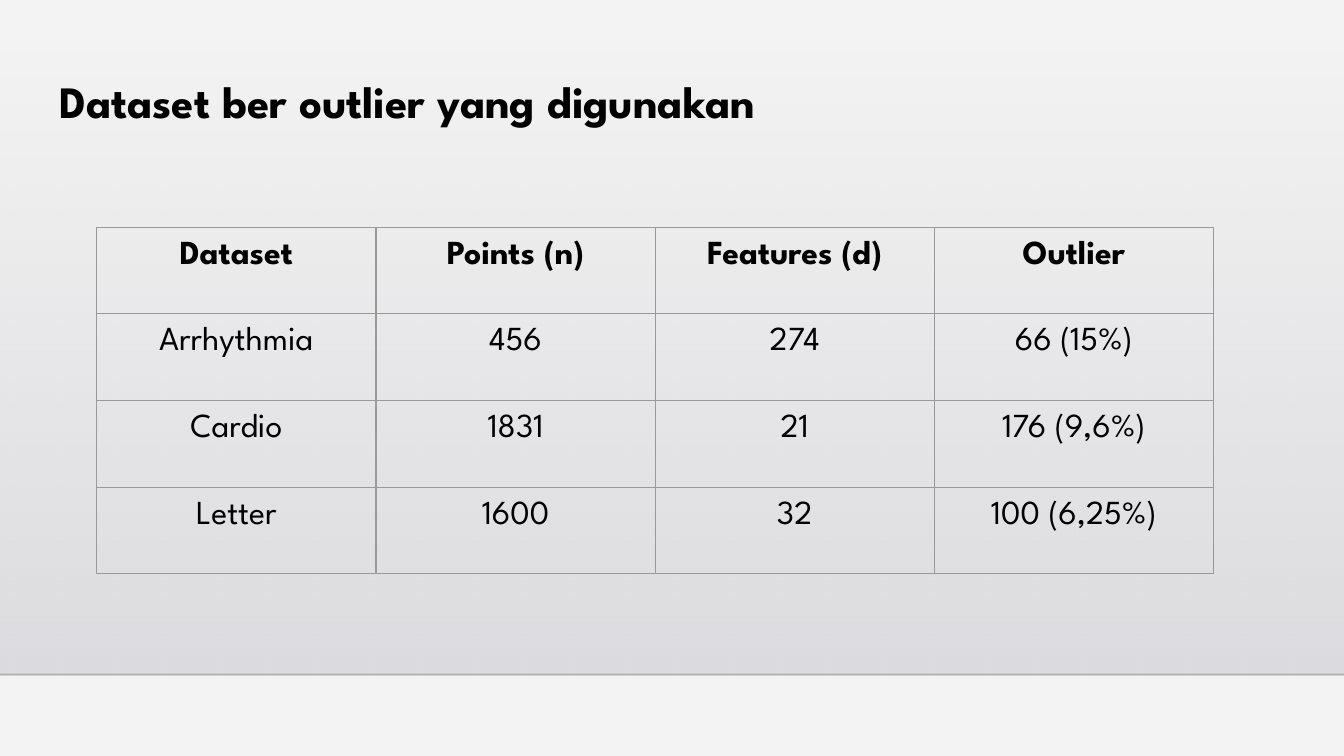
from dataclasses import dataclass

from lxml.etree import SubElement
from pptx import Presentation
from pptx.dml.color import RGBColor
from pptx.enum.shapes import MSO_CONNECTOR, MSO_SHAPE
from pptx.enum.text import MSO_ANCHOR, PP_ALIGN
from pptx.oxml.ns import qn
from pptx.util import Inches, Pt


@dataclass(frozen=True)
class Theme:
    """Colours, font and type sizes of the slide."""
    background: str = "F3F3F3"
    band_top: str = "DCDCE0"
    band_bottom: str = "DEDEE2"
    rule: str = "000001"
    rule_opacity: int = 20
    border: str = "999999"
    text: str = "000000"
    font: str = "League Spartan"
    title_size: int = 24
    table_size: int = 18
    border_width: float = 0.75
    inset: float = 0.1


THEME = Theme()
TITLE = "Dataset ber outlier yang digunakan"
DATASETS = [
    ("Dataset", "Points (n)", "Features (d)", "Outlier"),
    ("Arrhythmia", "456", "274", "66 (15%)"),
    ("Cardio", "1831", "21", "176 (9,6%)"),
    ("Letter", "1600", "32", "100 (6,25%)"),
]


def add_text(paragraph, text, size, bold):
    """Add one run in the theme font."""
    run = paragraph.add_run()
    run.text = text
    run.font.name = THEME.font
    run.font.size = Pt(size)
    run.font.bold = bold
    run.font.color.rgb = RGBColor.from_string(THEME.text)


def set_insets(frame):
    """Give a text frame or table cell equal insets on all sides."""
    frame.margin_left = frame.margin_right = Inches(THEME.inset)
    frame.margin_top = frame.margin_bottom = Inches(THEME.inset)


def set_opacity(shape, percent):
    """Set the opacity of the first colour in a shape."""
    color = next(shape.element.iter(qn("a:srgbClr")))
    SubElement(color, qn("a:alpha"), val=str(percent * 1000))


def add_backdrop(slide, left, top, width, height):
    """Draw the band that fades in downwards and the faint rule below it."""
    background = slide.background.fill
    background.solid()
    background.fore_color.rgb = RGBColor.from_string(THEME.background)

    band = slide.shapes.add_shape(
        MSO_SHAPE.RECTANGLE, Inches(left), Inches(top), Inches(width), Inches(height))
    band.shadow.inherit = False
    band.line.fill.background()
    band.fill.gradient()
    band.fill.gradient_angle = 270
    for stop, color in zip(band.fill.gradient_stops, (THEME.band_top, THEME.band_bottom)):
        stop.color.rgb = RGBColor.from_string(color)
    set_opacity(band, 0)

    bottom = Inches(top + height)
    rule = slide.shapes.add_connector(
        MSO_CONNECTOR.STRAIGHT, Inches(left), bottom, Inches(left + width), bottom)
    rule.line.width = Pt(1)
    rule.line.color.rgb = RGBColor.from_string(THEME.rule)
    set_opacity(rule, THEME.rule_opacity)
    SubElement(rule.element.spPr, qn("a:effectLst"))


def place_title(slide, left, top, width, height):
    """Place and fill the title, in front of the backdrop."""
    title = slide.shapes.title
    title.element.getparent().append(title.element)
    title.left, title.top = Inches(left), Inches(top)
    title.width, title.height = Inches(width), Inches(height)
    frame = title.text_frame
    frame.word_wrap = True
    frame.vertical_anchor = MSO_ANCHOR.TOP
    set_insets(frame)
    heading = frame.paragraphs[0]
    heading.alignment = PP_ALIGN.LEFT
    heading.line_spacing = 0.9
    add_text(heading, TITLE, THEME.title_size, True)


def add_borders(cell):
    """Outline all four sides of a cell."""
    properties = cell._tc.get_or_add_tcPr()
    for position, side in enumerate(("a:lnL", "a:lnR", "a:lnT", "a:lnB")):
        border = SubElement(properties, qn(side), w=str(Pt(THEME.border_width)))
        fill = SubElement(border, qn("a:solidFill"))
        SubElement(fill, qn("a:srgbClr"), val=THEME.border)
        properties.insert(position, border)


def add_dataset_table(slide, left, top, width, height):
    """Add the table of datasets with equal columns and rows."""
    row_count, column_count = len(DATASETS), len(DATASETS[0])
    table = slide.shapes.add_table(
        row_count, column_count, Inches(left), Inches(top), Inches(width), Inches(height)).table
    table.horz_banding = False
    for row_index, record in enumerate(DATASETS):
        for column_index, value in enumerate(record):
            cell = table.cell(row_index, column_index)
            cell.fill.background()
            cell.vertical_anchor = MSO_ANCHOR.TOP
            set_insets(cell)
            add_borders(cell)
            entry = cell.text_frame.paragraphs[0]
            entry.alignment = PP_ALIGN.CENTER
            add_text(entry, value, THEME.table_size, row_index == 0)


def main():
    """Build and save the slide."""
    deck = Presentation()
    deck.slide_width = Inches(10)
    deck.slide_height = deck.slide_width * 9 // 16
    slide = deck.slides.add_slide(deck.slide_layouts.get_by_name("Title Only"))
    add_backdrop(slide, 0, 0.38, 10, 4.64)
    place_title(slide, 0.34, 0.49, 9.32, 0.63)
    add_dataset_table(slide, 0.72, 1.69, 8.31, 2.58)
    deck.save("out.pptx")


if __name__ == "__main__":
    main()
